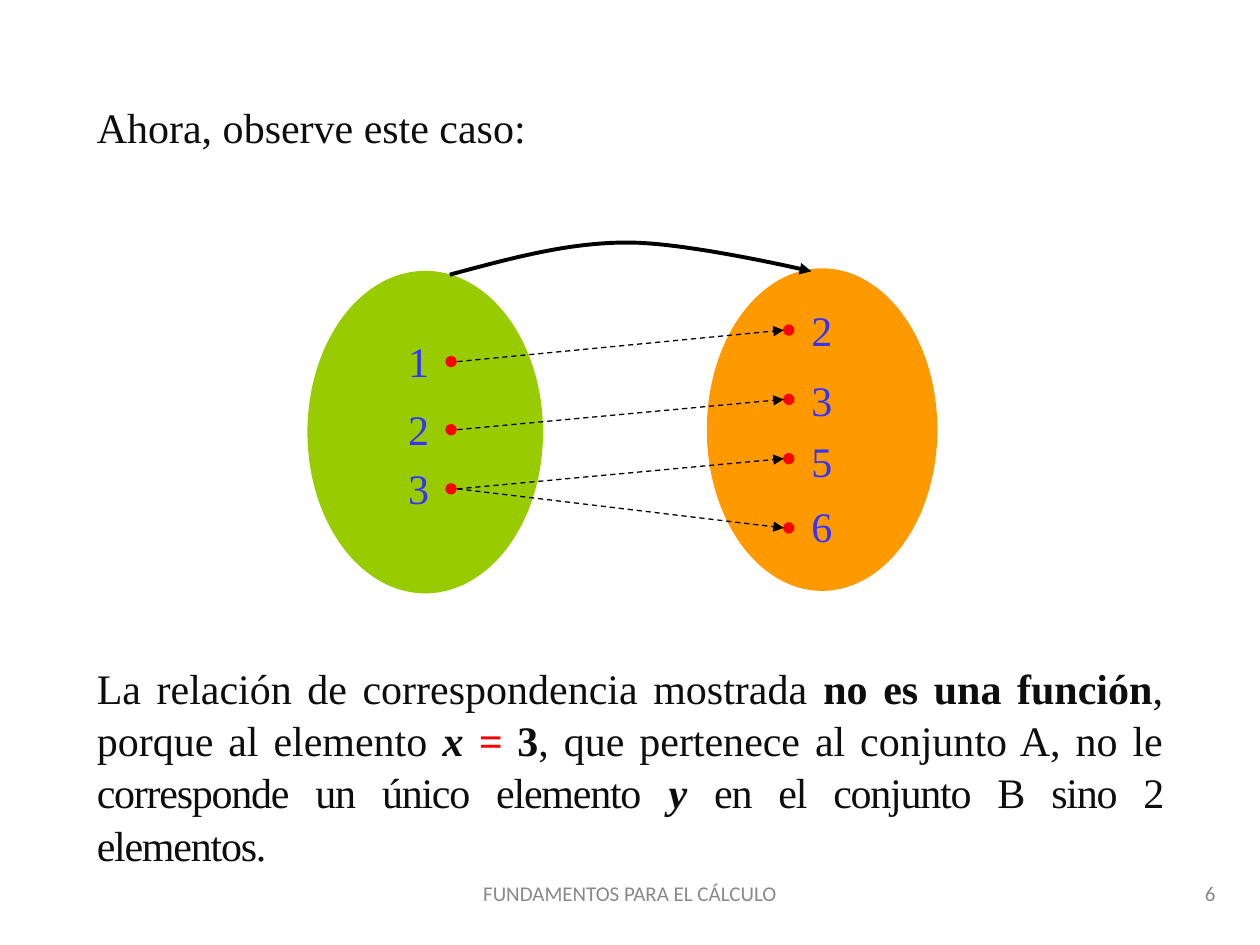
from lxml import etree
from pptx import Presentation
from pptx.dml.color import RGBColor
from pptx.enum.dml import MSO_LINE
from pptx.enum.shapes import MSO_CONNECTOR, MSO_SHAPE
from pptx.enum.text import MSO_ANCHOR, PP_ALIGN
from pptx.oxml.ns import qn
from pptx.util import Inches, Pt

SERIF = "Times New Roman"
BODY = dict(name=SERIF, size=Pt(24), color="0D0D0D")
NUMBER = BODY | dict(color="3333FF")
FOOTER = dict(name="Calibri", size=Pt(12), color="898989")
DOT = 0.08

# Each element: number, dot centre y, label top y, relative to the set's box
SET_A = [("1", 0.72, 0.46), ("2", 1.26, 1.0), ("3", 1.73, 1.47)]
SET_B = [("2", 0.49, 0.24), ("3", 1.04, 0.79), ("5", 1.51, 1.28), ("6", 2.06, 1.79)]
PAIRS = [("1", "2"), ("2", "3"), ("3", "5"), ("3", "6")]

CONCLUSION = [
    ("La relación de correspondencia mostrada ", {}),
    ("no es una función", dict(bold=True)),
    (", porque al elemento ", {}),
    ("x ", dict(bold=True, italic=True)),
    ("= ", dict(bold=True, italic=True, color="FF0000")),
    ("3", dict(bold=True)),
    (", que pertenece al conjunto A, no le ", {}),
    ("corresponde un único elemento ", dict(spacing=-70)),
    ("y ", dict(bold=True, italic=True, spacing=-70)),
    ("en el conjunto B sino 2 elementos.", dict(spacing=-70)),
]


def rgb(color):
    return RGBColor.from_string(color)


def add_text(slide, box, runs, style, align=PP_ALIGN.LEFT,
             anchor=MSO_ANCHOR.TOP, line_spacing=None):
    tf = slide.shapes.add_textbox(*map(Inches, box)).text_frame
    tf.word_wrap = True
    tf.vertical_anchor = anchor
    p = tf.paragraphs[0]
    p.alignment = align
    p.line_spacing = line_spacing
    for text, changes in runs:
        r = p.add_run()
        r.text = text
        for key, value in (style | changes).items():
            if key == "color":
                r.font.color.rgb = rgb(value)
            elif key == "spacing":
                r.font._element.set("spc", str(value))
            else:
                setattr(r.font, key, value)


def add_oval(slide, box, color, outlined=False):
    sp = slide.shapes.add_shape(MSO_SHAPE.OVAL, *map(Inches, box))
    sp.shadow.inherit = False
    sp.fill.solid()
    sp.fill.fore_color.rgb = rgb(color)
    if outlined:
        sp.line.color.rgb = rgb(color)
        sp.line.width = Pt(0.75)
    else:
        sp.line.fill.background()


def style_arrow(sp, width):
    sp.line.color.rgb = rgb("000000")
    sp.line.width = Pt(width)
    etree.SubElement(sp.line._get_or_add_ln(), qn("a:tailEnd"), type="triangle")


def add_set(slide, box, color, elements, dot_dx, label_dx):
    """Draw a set with its elements and return the dot centre of each one."""
    left, top = box[:2]
    add_oval(slide, box, color)
    centres = {}
    for number, dot_dy, label_dy in elements:
        x, y = left + dot_dx, top + dot_dy
        add_oval(slide, (x - DOT / 2, y - DOT / 2, DOT, DOT), "FF0000", outlined=True)
        add_text(slide, (left + label_dx, top + label_dy, 0.45, 0.5),
                 [(number, {})], NUMBER)
        centres[number] = x, y
    return centres


def add_pair_arrow(slide, start, end):
    (x1, y1), (x2, y2) = start, end
    c = slide.shapes.add_connector(
        MSO_CONNECTOR.STRAIGHT,
        *map(Inches, (x1 + 0.05, y1, x2 - 0.04, y2)))
    c.line.dash_style = MSO_LINE.DASH
    style_arrow(c, 0.75)
    etree.SubElement(c._element.spPr, qn("a:effectLst"))


def bezier(p0, p1, p2, p3, steps=24):
    """Points along a cubic curve, without its first point."""
    for i in range(1, steps + 1):
        t = i / steps
        u = 1 - t
        yield tuple(u**3 * a + 3 * u * u * t * b + 3 * u * t * t * c + t**3 * d
                    for a, b, c, d in zip(p0, p1, p2, p3))


def add_arc_arrow(slide, box):
    left, top, width, height = box

    def at(fx, fy):
        return Inches(left + fx * width), Inches(top + fy * height)

    start, peak, end = at(0, 1), at(0.5, 0.02), at(1, 0.9)
    points = [*bezier(start, at(0.17, 0.5), at(0.33, 0), peak),
              *bezier(peak, at(0.67, 0.04), end, end)]
    builder = slide.shapes.build_freeform(*start)
    builder.add_line_segments(points, close=False)
    sp = builder.convert_to_shape()
    sp.shadow.inherit = False
    sp.fill.background()
    style_arrow(sp, 2.25)


def add_mapping(slide, left, top):
    a = add_set(slide, (left, top + 0.02, 1.87, 2.56), "99CC00", SET_A, 1.14, 0.7)
    b = add_set(slide, (left + 3.17, top, 1.83, 2.56), "FF9900", SET_B, 0.65, 0.73)
    add_arc_arrow(slide, (left + 1.13, top - 0.21, 2.87, 0.26))
    for source, target in PAIRS:
        add_pair_arrow(slide, a[source], b[target])


def add_footer(slide, top):
    for left, width, text in [(3.72, 2.56, "FUNDAMENTOS PARA EL CÁLCULO"),
                              (9.41, 0.39, "6")]:
        add_text(slide, (left, top, width, 0.4), [(text, {})], FOOTER,
                 PP_ALIGN.CENTER, MSO_ANCHOR.MIDDLE)


def main():
    prs = Presentation()
    prs.slide_width, prs.slide_height = Inches(10), Inches(7.5)
    slide = prs.slides.add_slide(prs.slide_layouts[6])
    add_text(slide, (0.67, 0.76, 8.66, 0.51), [("Ahora, observe este caso:", {})], BODY)
    add_mapping(slide, 2.44, 2.13)
    add_text(slide, (0.67, 5.19, 8.66, 1.31), CONCLUSION, BODY,
             PP_ALIGN.JUSTIFY, line_spacing=1.04)
    add_footer(slide, 6.89)
    prs.save("out.pptx")


if __name__ == "__main__":
    main()
